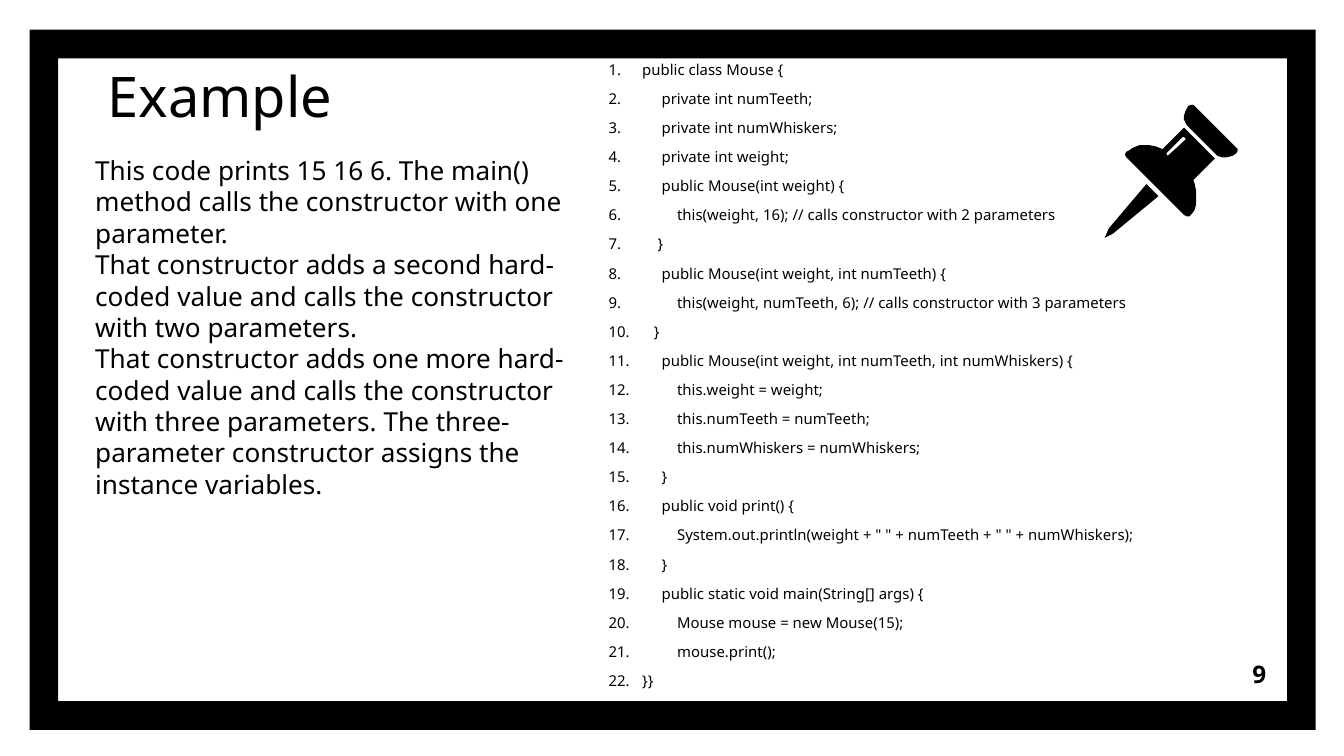
"""Build the slide that explains the Mouse constructors beside their numbered code."""
from pptx import Presentation
from pptx.dml.color import RGBColor
from pptx.enum import shapes, text
from pptx import util as u
from pptx.oxml import parse_xml
from pptx.oxml.ns import nsdecls

FONT, BLACK = "Noto Sans", "000000"
CODE_SIZE = 8
SPACE = 0.26 * CODE_SIZE / 72
NUMBER_INDENT, NUMBER_HANG = 0.42, 0.25
UNITS_PER_INCH = 100

EXPLANATION = [
    "This code prints 15 16 6. The main() method calls the constructor with one parameter.",
    "That constructor adds a second hard-coded value and calls the constructor with two parameters.",
    "That constructor adds one more hard-coded value and calls the constructor with three parameters. "
    "The three-parameter constructor assigns the instance variables.",
]
CODE = [
    (0, "public class Mouse {"),
    (5, "private int numTeeth;"),
    (5, "private int numWhiskers;"),
    (5, "private int weight;"),
    (5, "public Mouse(int weight) {"),
    (9, "this(weight, 16); // calls constructor with 2 parameters"),
    (4, "}"),
    (5, "public Mouse(int weight, int numTeeth) {"),
    (9, "this(weight, numTeeth, 6); // calls constructor with 3 parameters"),
    (3, "}"),
    (5, "public Mouse(int weight, int numTeeth, int numWhiskers) {"),
    (9, "this.weight = weight;"),
    (9, "this.numTeeth = numTeeth;"),
    (9, "this.numWhiskers = numWhiskers;"),
    (5, "}"),
    (5, "public void print() {"),
    (9, 'System.out.println(weight + " " + numTeeth + " " + numWhiskers);'),
    (5, "}"),
    (5, "public static void main(String[] args) {"),
    (9, "Mouse mouse = new Mouse(15);"),
    (9, "mouse.print();"),
    (0, "}}"),
]
NEEDLE = [(853, 137), (825, 170), (822, 177), (828, 174), (862, 146)]
CAP = [
    (886, 78), (884, 79), (883, 81), (882, 83), (881, 86), (881, 89), (883, 93), (906, 116),
    (909, 117), (913, 117), (917, 116), (920, 114), (921, 112), (921, 111), (920, 110),
    (889, 79), (888, 78),
]
BODY = [
    (881, 95), (865, 111), (860, 109), (855, 108), (848, 108), (843, 110), (840, 112),
    (838, 113), (837, 115), (838, 117), (881, 160), (883, 161), (885, 161), (887, 159),
    (889, 156), (890, 152), (890, 142), (889, 137), (888, 134), (904, 118),
]
GLINT = [
    (881, 102), (882, 103), (882, 104), (870, 115), (869, 116), (868, 115), (868, 114), (880, 102),
]
PIN_PARTS = [[NEEDLE], [CAP], [BODY, GLINT]]


def color(hex_code):
    return RGBColor.from_string(hex_code)


def paint(part):
    part.shadow.inherit = False
    part.fill.solid()
    part.fill.fore_color.rgb = color(BLACK)
    part.line.fill.background()


def write(box, lines, size, bold=False, align=text.PP_ALIGN.LEFT,
          anchor=text.MSO_ANCHOR.TOP, inset=(0.1, 0.1), before=0):
    frame = box.text_frame
    frame.word_wrap, frame.vertical_anchor = True, anchor
    frame.auto_size = text.MSO_AUTO_SIZE.NONE
    frame.margin_left = frame.margin_right = u.Inches(inset[0])
    frame.margin_top = frame.margin_bottom = u.Inches(inset[1])
    frame.text = "\n".join(lines)
    for line in frame.paragraphs:
        line.alignment, line.space_before = align, u.Pt(before)
        font = line.runs[0].font
        font.name, font.size, font.bold = FONT, u.Pt(size), bold
        font.color.rgb = color(BLACK)
    return frame


def number(line, spaces):
    extra = spaces * SPACE
    props = line._p.get_or_add_pPr()
    props.set("marL", str(u.Inches(NUMBER_INDENT + extra)))
    props.set("indent", str(-u.Inches(NUMBER_HANG + extra)))
    props.append(parse_xml(f'<a:buClr {nsdecls("a")}><a:srgbClr val="{BLACK}"/></a:buClr>'))
    props.append(parse_xml(f'<a:buFont {nsdecls("a")} typeface="{FONT}"/>'))
    props.append(parse_xml(f'<a:buAutoNum {nsdecls("a")} type="arabicPeriod"/>'))


def draw_pin(slide):
    pin = slide.shapes.add_group_shape()
    for contours in PIN_PARTS:
        outline = pin.shapes.build_freeform(*contours[0][0], scale=u.Inches(1) / UNITS_PER_INCH)
        for index, points in enumerate(contours):
            if index:
                outline.move_to(*points[0])
            outline.add_line_segments(points[1:], close=True)
        paint(outline.convert_to_shape())


def main():
    deck = Presentation()
    deck.slide_width, deck.slide_height = u.Inches(10), u.Inches(10 * 9 / 16)
    slide = deck.slides.add_slide(deck.slide_layouts[5])

    def text_box(*place):
        return slide.shapes.add_textbox(*map(u.Inches, place))

    border = slide.shapes.add_shape(
        shapes.MSO_SHAPE.FRAME, *map(u.Inches, (0.22, 0.22, 9.57, 5.21)))
    border.adjustments[0] = 0.041
    paint(border)

    title = slide.shapes.title
    title.left, title.top, title.width, title.height = map(u.Inches, (0.7, 0.36, 7.3, 0.7))
    write(title, ["Example"], 30)

    listing = write(text_box(4.26, 0.35, 5.3, 4.9), [line for _, line in CODE], CODE_SIZE, before=6)
    for line, (spaces, _) in zip(listing.paragraphs, CODE):
        number(line, spaces)

    draw_pin(slide)
    write(text_box(8.92, 4.8, 0.6, 0.43), ["9"], 13, bold=True,
          align=text.PP_ALIGN.RIGHT, anchor=text.MSO_ANCHOR.MIDDLE)
    write(text_box(0.61, 1.1, 3.72, 2.69), EXPLANATION, 14, inset=(0.1, 0.05))
    deck.save("out.pptx")


if __name__ == "__main__":
    main()
